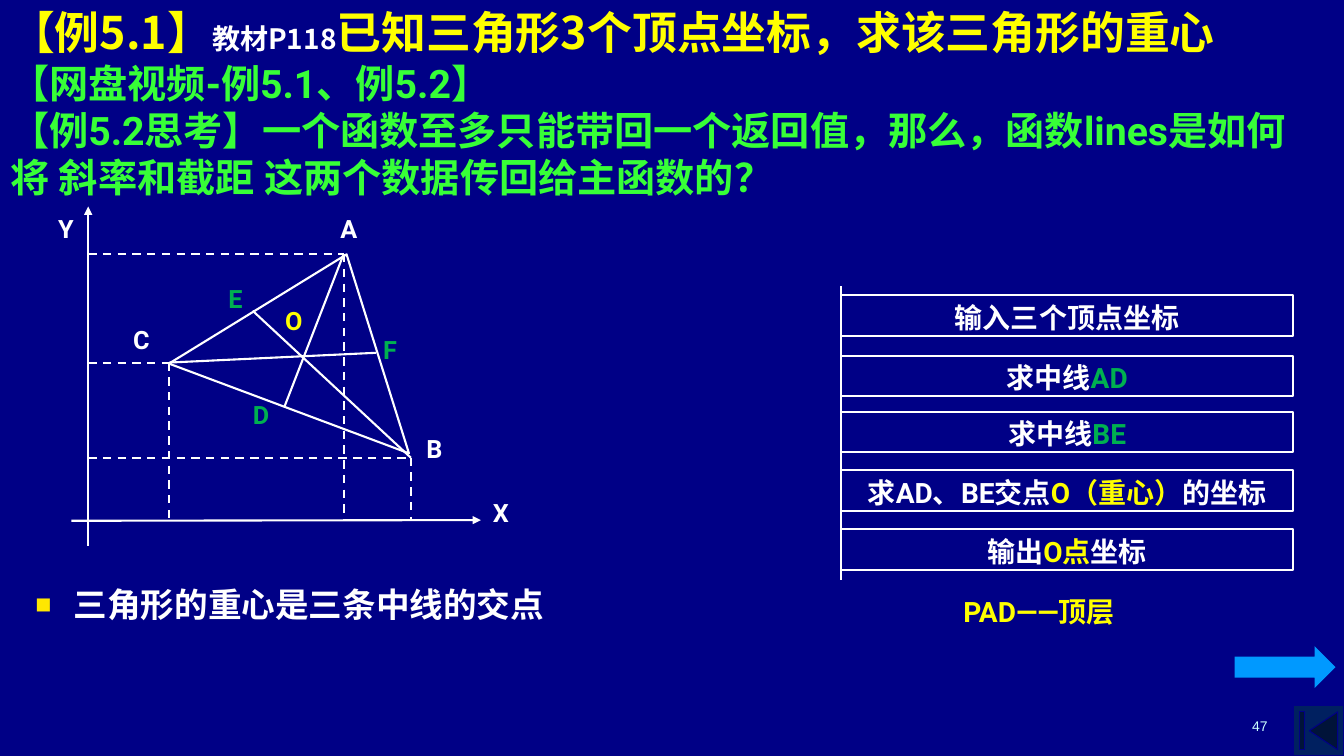
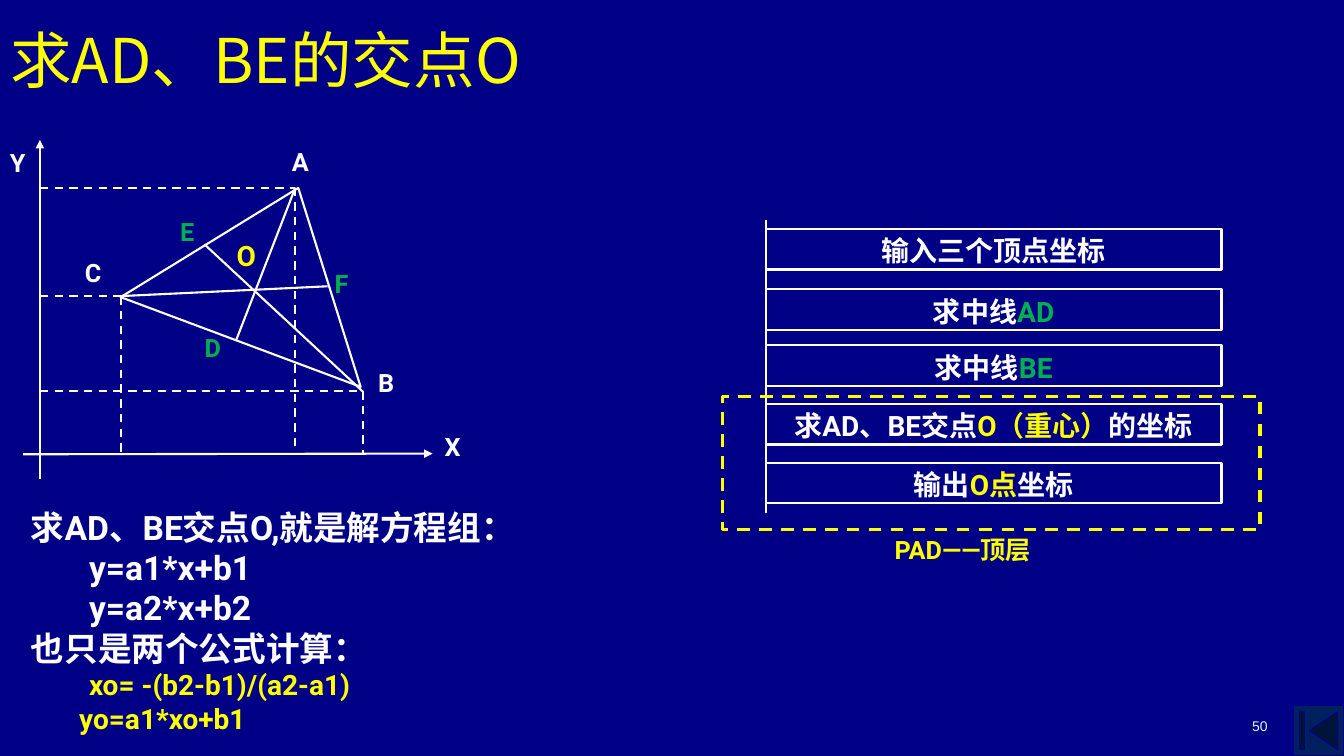
from lxml import etree
from pptx import Presentation
from pptx.dml.color import RGBColor
from pptx.enum.dml import MSO_LINE
from pptx.enum.shapes import MSO_CONNECTOR, MSO_SHAPE
from pptx.enum.text import MSO_ANCHOR, MSO_AUTO_SIZE, PP_ALIGN
from pptx.oxml.ns import qn
from pptx.util import Pt

STRAIGHT = MSO_CONNECTOR.STRAIGHT
RECTANGLE = MSO_SHAPE.RECTANGLE
TRIANGLE = MSO_SHAPE.ISOSCELES_TRIANGLE
RIGHT_ARROW = MSO_SHAPE.RIGHT_ARROW
BUTTON = MSO_SHAPE.ACTION_BUTTON_BEGINNING
DASH = MSO_LINE.DASH
TOP, MIDDLE, BOTTOM = MSO_ANCHOR.TOP, MSO_ANCHOR.MIDDLE, MSO_ANCHOR.BOTTOM
LEFT, CENTER, RIGHT = PP_ALIGN.LEFT, PP_ALIGN.CENTER, PP_ALIGN.RIGHT
NO_AUTOSIZE = MSO_AUTO_SIZE.NONE

COLORS = {
    "background": "000086", "button": "002060", "page": "CCFFFF",
    "white": "FFFFFF", "yellow": "FFFF00", "green": "00B050",
    "lime": "37FF37", "bullet": "FFE701", "arrow": "0099FF",
}
BODY_FONT = "Roboto"
TITLE_FONT = "Noto Sans CJK SC"
PAGE_FONT = "Arial"

VERTICES = {"A": (182.5, 190.5), "B": (230.5, 45), "C": (58, 113)}
MEDIANS = {"A": (140, 81), "B": (117.5, 150), "C": (205.5, 120)}
AXES = [((-12, 0), (280.5, 0.5)), ((0, -18), (0, 224.5))]
LABELS = {
    "A": (173, 223.5, "white"), "B": (234.5, 66, "white"),
    "C": (25, 144, "white"), "X": (282, 20, "white"),
    "Y": (-28.5, 223, "white"), "D": (110.5, 90.5, "green"),
    "E": (93, 173.5, "green"), "F": (203.5, 136.5, "green"),
    "O": (133.5, 157.5, "yellow"),
}
STEPS = [
    (6.5, [("输入三个顶点坐标", "white")]),
    (49.5, [("求中线", "white"), ("AD", "green")]),
    (89.5, [("求中线", "white"), ("BE", "green")]),
    (131.5, [("求AD、BE交点", "white"), ("O（重心）", "yellow"), ("的坐标", "white")]),
    (173.5, [("输出", "white"), ("O点", "yellow"), ("坐标", "white")]),
]


def color(key):
    return RGBColor.from_string(COLORS[key])


def apply(target, **values):
    for name, value in values.items():
        setattr(target, name, value)


def place(shape, left, top, width, height):
    apply(shape, left=Pt(left), top=Pt(top), width=Pt(width), height=Pt(height))


def write_runs(paragraph, runs, font, size, bold):
    for text, tone, *own_size in runs:
        run = paragraph.add_run()
        run.text = text
        apply(run.font, name=font, size=Pt(own_size[0] if own_size else size), bold=bold)
        run.font.color.rgb = color(tone)
        east_asian = etree.SubElement(run.font._element, qn("a:ea"))
        east_asian.set("typeface", font)


def write(frame, lines, size, font=BODY_FONT, bold=True, align=LEFT, anchor=TOP, wrap=True):
    apply(frame, auto_size=NO_AUTOSIZE, word_wrap=wrap, vertical_anchor=anchor)
    for index, (runs, indent) in enumerate(lines):
        paragraph = frame.add_paragraph() if index else frame.paragraphs[0]
        paragraph._p.get_or_add_pPr().set("marL", str(Pt(indent)))
        apply(paragraph, alignment=align, space_before=Pt(0))
        write_runs(paragraph, runs, font, size, bold)


def add_text(shapes, box, lines, size, **style):
    textbox = shapes.add_textbox(*map(Pt, box))
    write(textbox.text_frame, lines, size, **style)


def add_figure(shapes, kind, box, fill=None, line=None, width=1.5):
    figure = shapes.add_shape(kind, *map(Pt, box))
    figure.shadow.inherit = False
    if fill:
        figure.fill.solid()
        figure.fill.fore_color.rgb = color(fill)
    else:
        figure.fill.background()
    if line:
        figure.line.color.rgb = color(line)
        figure.line.width = Pt(width)
    else:
        figure.line.fill.background()
    return figure


def add_line(shapes, start, end, dash=None, arrow=False):
    line = shapes.add_connector(STRAIGHT, *map(Pt, (*start, *end)))
    apply(line.line, width=Pt(1.5), dash_style=dash)
    line.line.color.rgb = color("white")
    properties = line._element.spPr
    if arrow:
        etree.SubElement(properties.get_or_add_ln(), qn("a:tailEnd")).set("type", "triangle")
    etree.SubElement(properties, qn("a:effectLst"))


def add_centroid_diagram(slide, origin_x, origin_y, center_size):
    shapes = slide.shapes.add_group_shape().shapes

    def at(x, y):
        return origin_x + x, origin_y - y

    triangle = add_figure(shapes, TRIANGLE, (*at(72.5, 194), 183, 117.5), line="white")
    triangle.rotation = 20.5
    for x, y in VERTICES.values():
        add_line(shapes, at(x, y), at(x, 0), DASH)
        add_line(shapes, at(0, y), at(x, y), DASH)
    for vertex, midpoint in MEDIANS.items():
        add_line(shapes, at(*VERTICES[vertex]), at(*midpoint))
    for start, end in AXES:
        add_line(shapes, at(*start), at(*end), arrow=True)
    for letter, (x, y, tone) in LABELS.items():
        size = center_size if letter == "O" else 18
        add_text(shapes, (*at(x, y), 43, 33.5), [([(letter, tone)], 0)], size)


def add_pad(slide, left, top, width):
    shapes = slide.shapes.add_group_shape().shapes
    add_line(shapes, (left, top), (left, top + 209.5))
    for offset, runs in STEPS:
        step = add_figure(shapes, RECTANGLE, (left, top + offset, width, 29), line="white")
        write(step.text_frame, [(runs, 0)], 20, align=CENTER, wrap=False)


def add_pad_caption(slide, box, size):
    add_text(slide.shapes, box, [([("PAD——顶层", "yellow")], 0)], size, wrap=False)


def add_bullet(paragraph):
    properties = paragraph._p.get_or_add_pPr()
    properties.set("indent", str(-Pt(27.5)))
    tone = etree.SubElement(properties, qn("a:buClr"))
    etree.SubElement(tone, qn("a:srgbClr")).set("val", COLORS["bullet"])
    etree.SubElement(properties, qn("a:buSzPct")).set("val", "80000")
    etree.SubElement(properties, qn("a:buChar")).set("char", "■")


def start_slide(deck, layout, page, title_box, title_lines, **title_style):
    slide = deck.slides.add_slide(deck.slide_layouts[layout])
    add_figure(slide.shapes, BUTTON, (924, 504, 36, 36), "button", "background", 0.75)
    place(slide.shapes.title, *title_box)
    write(slide.shapes.title.text_frame, title_lines, **title_style)
    add_text(slide.shapes, (688.5, 492, 224, 36), [([(page, "page")], 0)], 10,
             font=PAGE_FONT, bold=False, align=RIGHT, anchor=BOTTOM)
    return slide


def build_centroid_slide(deck):
    heading = [("【例5.1】", "yellow"), ("教材P118", "white", 20),
               ("已知三角形3个顶点坐标，求该三角形的重心", "yellow")]
    slide = start_slide(deck, 1, "47", (0, 0, 952.5, 147.5), [(heading, 0)],
                        size=32, font=TITLE_FONT)
    questions = [
        "【网盘视频-例5.1、例5.2】",
        "【例5.2思考】一个函数至多只能带回一个返回值，那么，函数lines是如何将 斜率和截距 这两个数据传回给主函数的？",
    ]
    for question in questions:
        paragraph = slide.shapes.title.text_frame.add_paragraph()
        paragraph.alignment = LEFT
        write_runs(paragraph, [(question, "lime")], BODY_FONT, 28, True)

    conclusion = slide.placeholders[1]
    place(conclusion, 18, 413.5, 440.5, 39.5)
    write(conclusion.text_frame, [([("三角形的重心是三条中线的交点", "white")], 27.5)], 24)
    add_bullet(conclusion.text_frame.paragraphs[0])

    add_centroid_diagram(slide, 63, 372, 18)
    add_pad(slide, 601, 204.5, 322.5)
    add_pad_caption(slide, (681, 421, 133, 31.5), 20)
    add_figure(slide.shapes, RIGHT_ARROW, (882, 461.5, 72, 30), "arrow")


def build_intersection_slide(deck):
    slide = start_slide(deck, 5, "50", (0, 12, 658, 60.5),
                        [([("求AD、BE的交点O", "yellow")], 0)],
                        size=44, font=TITLE_FONT, bold=False)
    equations = [
        ([("求AD、BE交点O,就是解方程组：", "white")], 0),
        ([("y=a1*x+b1", "white")], 41.5),
        ([("y=a2*x+b2", "white")], 41.5),
        ([("也只是两个公式计算：", "white")], 0),
        ([("xo= -(b2-b1)/(a2-a1)", "yellow", 20)], 41.5),
        ([("yo=a1*xo+b1", "yellow", 20)], 34.5),
    ]
    add_text(slide.shapes, (15, 355, 566, 177), equations, 24, anchor=MIDDLE)
    add_centroid_diagram(slide, 28.5, 324.5, 20)
    add_pad(slide, 547, 157, 325.5)
    add_pad_caption(slide, (632, 378, 122.5, 29), 18)
    highlight = add_figure(slide.shapes, RECTANGLE, (516, 283.5, 384, 94.5),
                           line="yellow", width=2.25)
    highlight.line.dash_style = DASH


def main():
    deck = Presentation()
    apply(deck, slide_width=Pt(960), slide_height=Pt(540))
    backdrop = deck.slide_master.background.fill
    backdrop.solid()
    backdrop.fore_color.rgb = color("background")
    build_centroid_slide(deck)
    build_intersection_slide(deck)
    deck.save("out.pptx")


if __name__ == "__main__":
    main()
